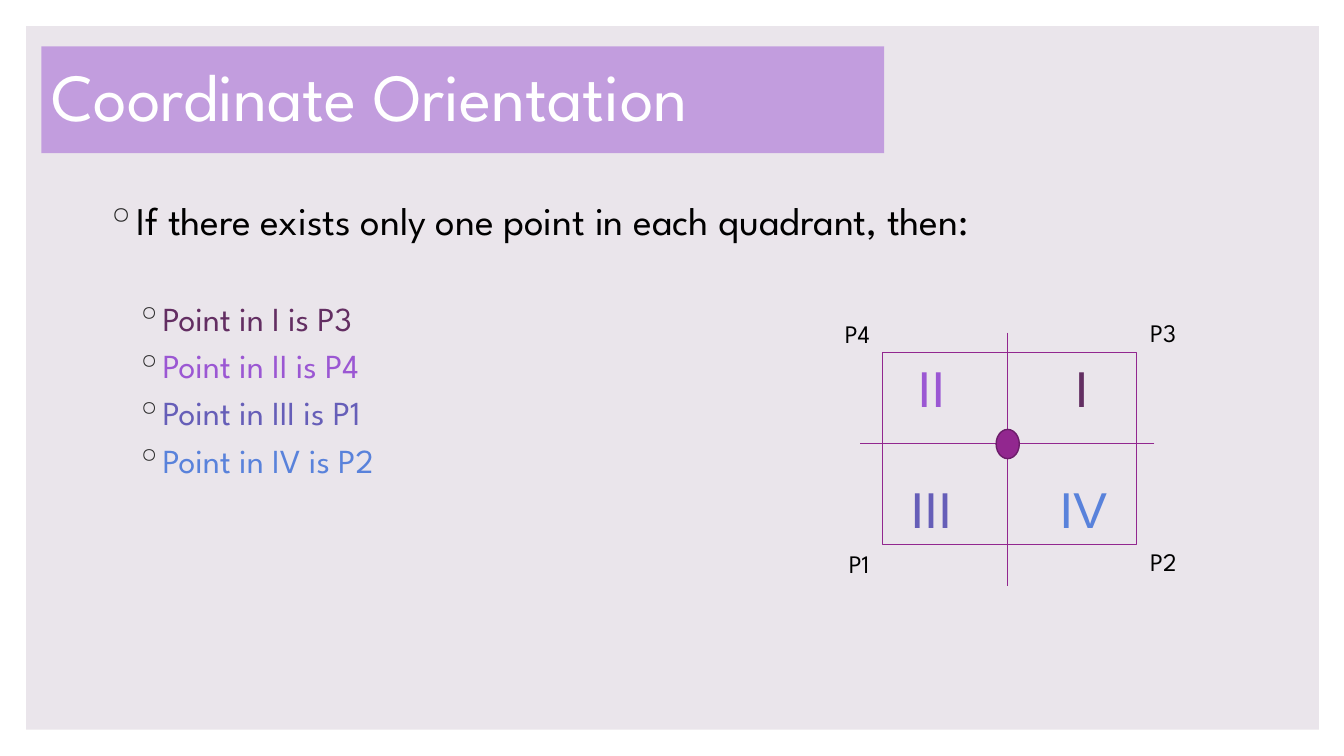
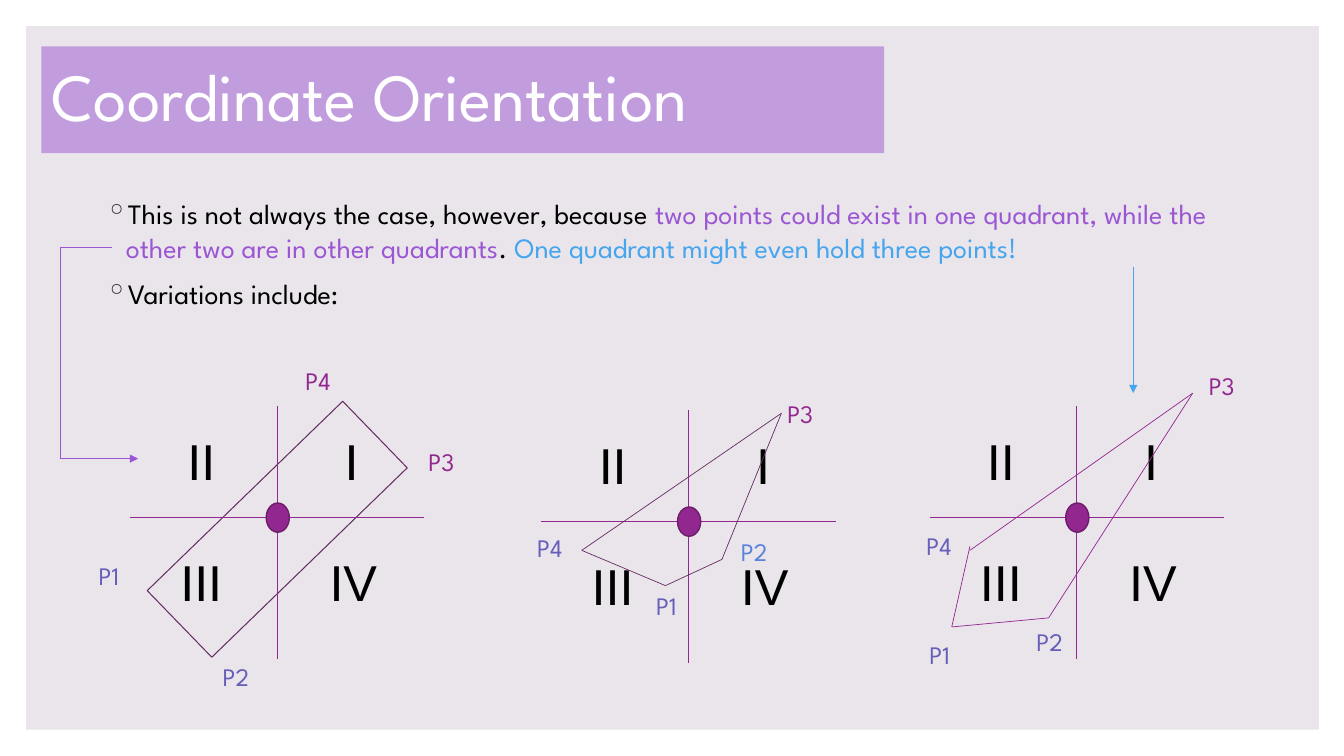
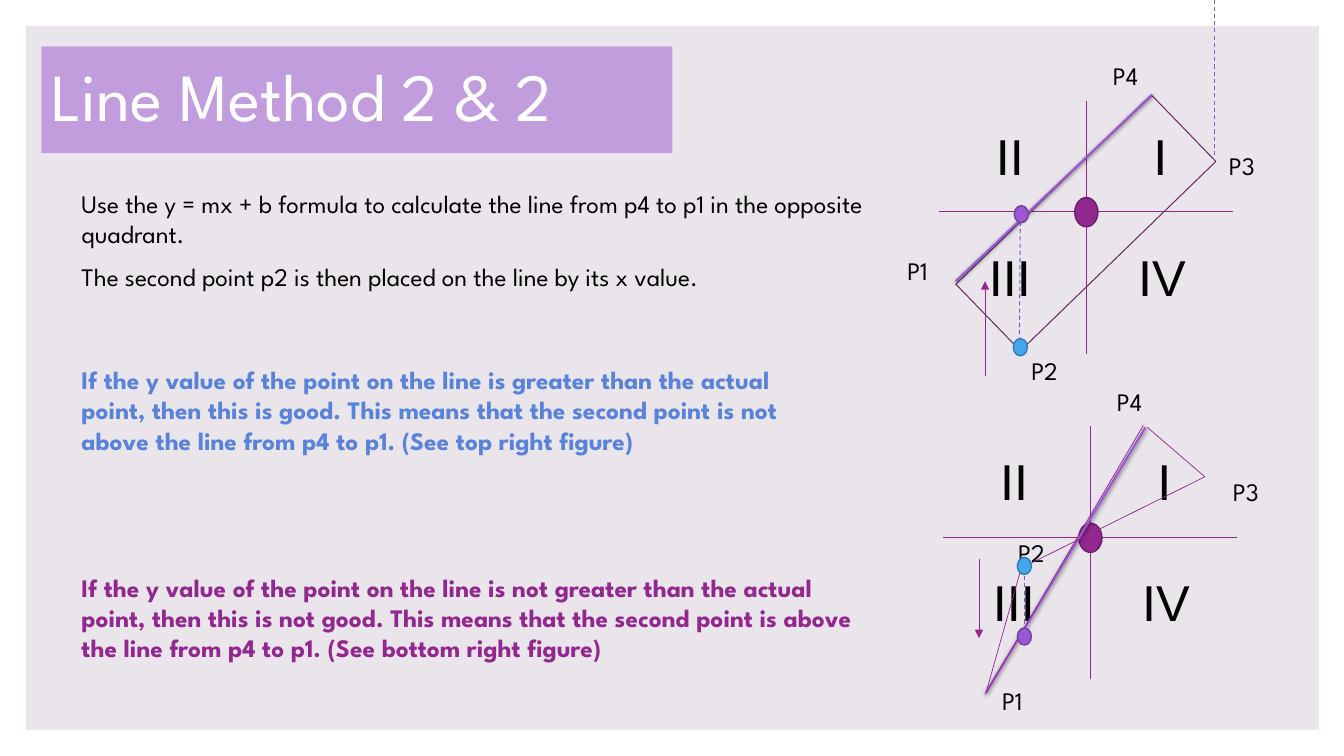
from itertools import pairwise

from lxml import etree
from pptx import Presentation
from pptx.dml.color import RGBColor
from pptx.enum import dml, shapes, text
from pptx.oxml.ns import qn
from pptx.util import Inches, Pt

WHITE = RGBColor(0xFF, 0xFF, 0xFF)
BLACK = RGBColor(0x00, 0x00, 0x00)
PANEL = RGBColor(0xEA, 0xE5, 0xEB)
BULLET = RGBColor(0x26, 0x26, 0x26)
MAGENTA = RGBColor(0x92, 0x27, 0x8F)
MAGENTA_EDGE = RGBColor(0x6C, 0x1D, 0x6A)
PLUM = RGBColor(0x63, 0x2E, 0x62)
PURPLE = RGBColor(0x9B, 0x57, 0xD3)
PURPLE_EDGE = RGBColor(0x73, 0x40, 0x9C)
VIOLET = RGBColor(0x75, 0x5D, 0xD9)
INDIGO = RGBColor(0x66, 0x5E, 0xB8)
BLUE = RGBColor(0x59, 0x82, 0xDB)
SKY = RGBColor(0x45, 0xA5, 0xED)
SKY_EDGE = RGBColor(0x33, 0x7A, 0xAF)

BODY_FONT = "League Spartan"
NUMERAL_FONT = "Arial"
RECT = shapes.MSO_SHAPE.RECTANGLE
OVAL = shapes.MSO_SHAPE.OVAL

# Numeral: left and top from the origin, box width
NUMERALS = {
    "II": (-0.99, -0.91, 0.71),
    "I": (0.57, -0.91, 0.71),
    "III": (-1.06, 0.29, 0.83),
    "IV": (0.42, 0.29, 0.76),
}


def assign(obj, values):
    """Set each named attribute of an object."""
    for name, value in values.items():
        setattr(obj, name, value)


def child(parent, tag, **attrs):
    """Append an XML element with attributes."""
    return etree.SubElement(parent, qn(tag), {k: str(v) for k, v in attrs.items()})


class Deck:
    """Shared style and the slide being drawn."""

    def __init__(self):
        """Start a wide presentation."""
        self.prs = Presentation()
        assign(self.prs, {"slide_width": Inches(13.33), "slide_height": Inches(7.5)})
        self.s = None

    def slide(self, title, title_width):
        """Add a slide with its panel and title band."""
        self.s = self.prs.slides.add_slide(self.prs.slide_layouts[6])
        self.shape(RECT, 0.26, 0.26, 12.82, 6.98, fill=PANEL)
        band = self.shape(RECT, 0.41, 0.46, title_width, 1.06, fill=PURPLE)
        child(band.element.spPr.find(".//" + qn("a:srgbClr")), "a:alpha", val=50000)
        tf = band.text_frame
        assign(tf, {"word_wrap": True, "vertical_anchor": text.MSO_ANCHOR.MIDDLE})
        p = tf.paragraphs[0]
        assign(p, {"alignment": text.PP_ALIGN.LEFT, "line_spacing": 0.9})
        self.run(p, title, 48, WHITE)

    def shape(self, kind, x, y, w, h, fill=None, line=None, weight=1, rotation=0):
        """Add a preset shape, with an optional fill and outline."""
        sp = self.s.shapes.add_shape(kind, *map(Inches, (x, y, w, h)))
        sp.shadow.inherit = False
        sp.rotation = rotation
        for part, color in ((sp.fill, fill), (sp.line.fill, line)):
            if color is None:
                part.background()
            else:
                part.solid()
                part.fore_color.rgb = color
        if line is not None:
            sp.line.width = Pt(weight)
        return sp

    def run(self, p, words, size, color, font=BODY_FONT, bold=False):
        """Add styled words to a paragraph, breaking at each newline."""
        for i, part in enumerate(words.split("\n")):
            if i:
                p.add_line_break()
            r = p.add_run()
            r.text = part
            assign(r.font, {"name": font, "size": Pt(size), "bold": bold})
            r.font.color.rgb = color

    def label(self, words, x, y, w=0.49, h=0.4, size=18, color=BLACK,
              font=BODY_FONT, wrap=False):
        """Add a short text that fits its box."""
        tf = self.s.shapes.add_textbox(*map(Inches, (x, y, w, h))).text_frame
        assign(tf, {"word_wrap": wrap,
                    "auto_size": text.MSO_AUTO_SIZE.SHAPE_TO_FIT_TEXT})
        self.run(tf.paragraphs[0], words, size, color, font)

    def body(self, box, paragraphs):
        """Add paragraphs of (runs, size, space before, text indent, bold)."""
        tf = self.s.shapes.add_textbox(*map(Inches, box)).text_frame
        tf.word_wrap = True
        for i, (runs, size, before, indent, bold) in enumerate(paragraphs):
            p = tf.add_paragraph() if i else tf.paragraphs[0]
            p.space_before = Pt(before)
            if indent:
                self.bullet(p, indent)
            for words, color in runs:
                self.run(p, words, size, color, bold=bold)

    def bullet(self, p, indent):
        """Give a paragraph a hanging ring bullet."""
        pr = p._p.get_or_add_pPr()
        pr.set("marL", str(Inches(indent)))
        pr.set("indent", str(-Inches(0.2)))
        child(child(pr, "a:buClr"), "a:srgbClr", val=BULLET)
        child(pr, "a:buChar", char="\u25e6")

    def line(self, start, end, color=MAGENTA, weight=0.5, dashed=False,
             arrow=False, shadow=False):
        """Draw a straight line."""
        c = self.s.shapes.add_connector(shapes.MSO_CONNECTOR.STRAIGHT,
                                        *map(Inches, (*start, *end)))
        c.line.color.rgb = color
        c.line.width = Pt(weight)
        if dashed:
            c.line.dash_style = dml.MSO_LINE.DASH
        pr = c.element.spPr
        if arrow:
            child(pr.find(qn("a:ln")), "a:tailEnd", type="triangle")
        effects = child(pr, "a:effectLst")
        if shadow:
            cast = child(effects, "a:outerShdw", blurRad=Pt(3), dist=Pt(1),
                         dir=5400000, rotWithShape=0)
            child(child(cast, "a:srgbClr", val=BLACK), "a:alpha", val=63000)

    def chain(self, *points, color=MAGENTA, arrow=False):
        """Join points in order, with an optional arrowhead on the last line."""
        pairs = list(pairwise(points))
        for i, (start, end) in enumerate(pairs, 1):
            self.line(start, end, color, arrow=arrow and i == len(pairs))

    def tilted_box(self, x, y):
        """Draw a rectangle turned along the rising diagonal."""
        self.shape(RECT, x, y, 2.7, 0.92, line=PLUM, weight=0.75, rotation=315.9)

    def quadrants(self, cx, cy, points, colors=None):
        """Draw axes, numerals, origin and named points (x, y, color)."""
        self.line((cx, cy - 1.1), (cx, cy + 1.41))
        self.line((cx + 1.46, cy), (cx - 1.46, cy))
        for name, (dx, dy, w) in NUMERALS.items():
            self.label(name, cx + dx, cy + dy, w, 0.71, 36,
                       (colors or {}).get(name, BLACK), NUMERAL_FONT, True)
        self.shape(OVAL, cx - 0.11, cy - 0.14, 0.23, 0.29, MAGENTA, MAGENTA_EDGE)
        for name, (x, y, color) in points.items():
            self.label(name, x, y, color=color)

    def marker(self, x, y, fill, edge):
        """Draw a small point."""
        self.shape(OVAL, x, y, 0.14, 0.17, fill, edge)


def one_point_each(d):
    """Build the slide with one point in each quadrant."""
    d.slide("Coordinate Orientation", 8.36)
    colors = {"I": PLUM, "II": PURPLE, "III": INDIGO, "IV": BLUE}
    paragraphs = [([("If there exists only one point in each quadrant, then:", BLACK)],
                   28, 9, 0.2, False)]
    for (name, color), point in zip(colors.items(), ("P3", "P4", "P1", "P2")):
        before = 38.7 if name == "I" else 5
        paragraphs.append(([(f"Point in {name} is {point}", color)],
                           24, before, 0.5, False))
    d.body((0.95, 1.9, 11.43, 5.02), paragraphs)
    d.shape(RECT, 8.75, 3.5, 2.52, 1.9, line=MAGENTA)
    d.quadrants(9.99, 4.4, {"P3": (11.31, 3.1, BLACK), "P4": (8.28, 3.11, BLACK),
                            "P1": (8.32, 5.39, BLACK), "P2": (11.31, 5.37, BLACK)},
                colors)


def variations(d):
    """Build the slide with three uneven arrangements."""
    d.slide("Coordinate Orientation", 8.36)
    d.body((0.95, 1.9, 11.43, 5.02), [
        ([("This is not always the case, however, because ", BLACK),
          ("two points could exist in one quadrant, while the other two are in "
           "other quadrants", PURPLE), (". ", BLACK),
          ("One quadrant might even hold three points!", SKY)], 20, 9, 0.2, False),
        ([("Variations include:", BLACK)], 20, 9, 0.2, False),
    ])
    d.tilted_box(1.4, 4.79)
    d.quadrants(2.75, 5.13, {"P3": (4.15, 4.38, MAGENTA), "P4": (2.93, 3.58, MAGENTA),
                             "P1": (0.88, 5.51, INDIGO), "P2": (2.11, 6.51, INDIGO)})
    d.quadrants(6.83, 5.17, {"P3": (7.71, 3.9, MAGENTA), "P4": (5.23, 5.23, INDIGO),
                             "P1": (6.41, 5.81, INDIGO), "P2": (7.25, 5.27, BLUE)})
    d.chain((5.77, 5.46), (7.75, 4.1), (7.16, 5.55), (6.6, 5.81), (5.77, 5.46),
            color=PLUM)
    d.quadrants(10.68, 5.13, {"P3": (11.89, 3.62, MAGENTA), "P1": (9.12, 6.29, INDIGO),
                              "P2": (10.18, 6.16, INDIGO), "P4": (9.09, 5.21, INDIGO)})
    d.chain((9.62, 5.42), (9.44, 6.22), (10.4, 6.13), (11.83, 3.9), (9.62, 5.46))
    d.chain((1.11, 2.45), (0.6, 2.45), (0.6, 4.55), (1.37, 4.55),
            color=PURPLE, arrow=True)
    d.line((11.24, 2.65), (11.24, 3.9), SKY, arrow=True)


def line_method(d):
    """Build the slide that tests the second point against a line."""
    d.slide("Line Method 2 & 2", 6.26)
    d.body((0.71, 1.82, 8.02, 5.22), [
        ([("Use the y = mx + b formula to calculate the line from p4 to p1 in the "
           "opposite quadrant.", BLACK)], 18, 9, 0, False),
        ([("The second point p2 is then placed on the line by its x value.", BLACK)],
         18, 9, 0, False),
        ([("If the y value of the point on the line is greater than the actual\n"
           "point, then this is good. This means that the second point is not\n"
           "above the line from p4 to p1. (See top right figure)", BLUE)],
         18, 52, 0, True),
        ([("If the y value of the point on the line is not greater than the actual "
           "point, then this is not good. This means that the second point is above "
           "the line from p4 to p1. (See bottom right figure)", MAGENTA)],
         18, 83.5, 0, True),
    ])
    d.tilted_box(9.42, 1.75)
    d.quadrants(10.77, 2.1, {"P3": (12.09, 1.44, BLACK), "P4": (10.94, 0.55, BLACK),
                             "P1": (8.9, 2.48, BLACK), "P2": (10.13, 3.48, BLACK)})
    d.line((9.48, 2.79), (11.43, 0.94), PURPLE, 1.5, shadow=True)
    d.line((12.05, 1.54), (12.05, 0), VIOLET, 0.75, dashed=True)
    d.line((10.11, 3.46), (10.12, 2.17), VIOLET, 0.75, dashed=True)
    d.marker(10.05, 3.36, SKY, SKY_EDGE)
    d.marker(10.06, 2.04, PURPLE, PURPLE_EDGE)
    d.line((9.77, 3.73), (9.77, 2.79), arrow=True)

    d.quadrants(10.81, 5.33, {"P3": (12.13, 4.68, BLACK), "P4": (10.98, 3.78, BLACK),
                              "P1": (9.84, 6.75, BLACK), "P2": (10, 5.28, BLACK)})
    d.line((9.78, 6.87), (11.36, 4.24), PURPLE, 1.5, shadow=True)
    d.line((10.16, 6.33), (10.16, 5.62), VIOLET, 0.75, dashed=True)
    d.chain((10.16, 5.62), (11.95, 4.73), (11.38, 4.24))
    d.chain((11.34, 4.22), (9.77, 6.89))
    d.chain((9.78, 6.87), (10.13, 5.63))
    d.marker(10.09, 5.53, SKY, SKY_EDGE)
    d.marker(10.09, 6.23, PURPLE, PURPLE_EDGE)
    d.line((9.71, 5.55), (9.71, 6.33), arrow=True)


deck = Deck()
for build in (one_point_each, variations, line_method):
    build(deck)
deck.prs.save("out.pptx")
